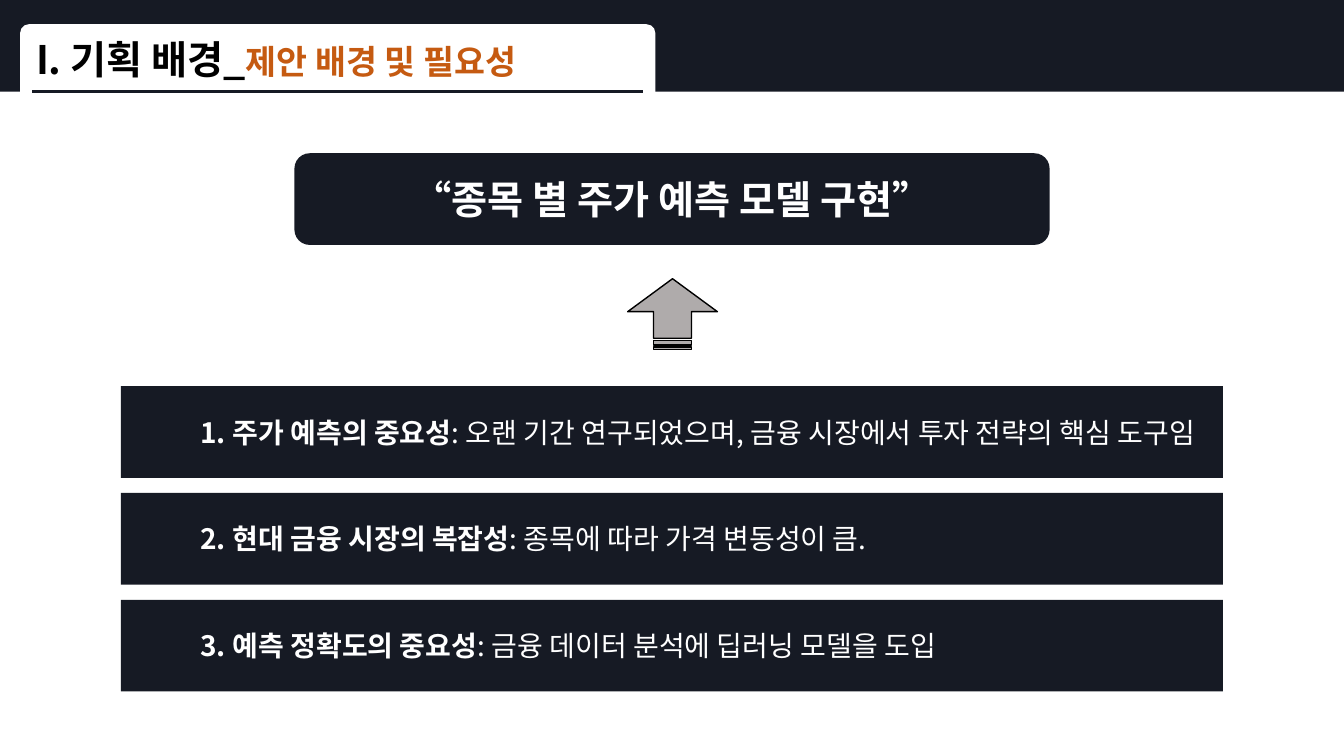
"""Build the slide on the background and need for a stock price model."""
import pptx
import pptx.dml.color
import pptx.enum.shapes
import pptx.enum.text
import pptx.oxml.ns
import pptx.util
from lxml import etree
from pptx.util import Inches

FONT = "Noto Sans CJK KR"
NAVY, WHITE, BLACK = "161A24", "FFFFFF", "000000"
GREY, ORANGE = "AFABAB", "C55A11"
SHAPE = pptx.enum.shapes.MSO_SHAPE
ALIGN = pptx.enum.text.PP_ALIGN
REASONS = [
    ("1. 주가 예측의 중요성", ": 오랜 기간 연구되었으며, 금융 시장에서 투자 전략의 핵심 도구임"),
    ("2. 현대 금융 시장의 복잡성", ": 종목에 따라 가격 변동성이 큼."),
    ("3. 예측 정확도의 중요성", ": 금융 데이터 분석에 딥러닝 모델을 도입"),
]


def color(value):
    """Return the colour for a hex string."""
    return pptx.dml.color.RGBColor.from_string(value)


def add_block(slide, kind, left, top, width, height, fill, adjustments=()):
    """Add a filled shape without outline or shadow."""
    block = slide.shapes.add_shape(
        kind, Inches(left), Inches(top), Inches(width), Inches(height))
    block.shadow.inherit = False
    block.fill.solid()
    block.fill.fore_color.rgb = color(fill)
    block.line.fill.background()
    for index, value in enumerate(adjustments):
        block.adjustments[index] = value
    return block


def add_run(paragraph, text, size, hue, bold=True):
    """Add one run with its font, for Latin and Korean letters alike."""
    run = paragraph.add_run()
    run.text = text
    run.font.size = pptx.util.Pt(size)
    run.font.bold = bold
    run.font.color.rgb = color(hue)
    run.font.name = FONT
    korean = etree.SubElement(run.font._element, pptx.oxml.ns.qn("a:ea"))
    korean.set("typeface", FONT)


def add_header(slide):
    """Add the top band, its tab, the title and the rule under it."""
    add_block(slide, SHAPE.RECTANGLE, 0, 0, 13.33, 0.91, NAVY)
    add_block(slide, SHAPE.ROUNDED_RECTANGLE, 0.2, 0.24, 6.3, 0.82, WHITE, [0.106])
    title = slide.shapes.add_textbox(
        Inches(0.26), Inches(0.3), Inches(6.67), Inches(0.57))
    title.text_frame.word_wrap = True
    heading = title.text_frame.paragraphs[0]
    add_run(heading, "I. 기획 배경_", 28, BLACK)
    add_run(heading, "제안 배경 및 필요성", 24, ORANGE)
    rule = slide.shapes.add_connector(
        pptx.enum.shapes.MSO_CONNECTOR.STRAIGHT,
        Inches(0.32), Inches(0.91), Inches(6.38), Inches(0.91))
    rule.line.color.rgb = color(NAVY)
    rule.line.width = pptx.util.Pt(1.75)
    etree.SubElement(rule._element.spPr, pptx.oxml.ns.qn("a:effectLst"))


def add_goal(slide):
    """Add the goal banner."""
    goal = add_block(slide, SHAPE.ROUNDED_RECTANGLE, 2.92, 1.52, 7.49, 0.91, NAVY)
    statement = goal.text_frame.paragraphs[0]
    statement.alignment = ALIGN.CENTER
    add_run(statement, "“종목 별 주가 예측 모델 구현”", 28, WHITE)


def add_arrow(slide):
    """Add the striped arrow that points up to the goal."""
    arrow = add_block(slide, SHAPE.STRIPED_RIGHT_ARROW, 6.32, 2.67, 0.7, 0.89,
                      GREY, [0.423, 0.467])
    arrow.rotation = 270
    arrow.line.color.rgb = color(BLACK)
    arrow.line.width = pptx.util.Pt(1)


def add_reason(slide, top, topic, detail):
    """Add one reason bar with an indented first line."""
    bar = add_block(slide, SHAPE.ROUNDED_RECTANGLE, 1.2, top, 10.93, 0.91, NAVY, [0])
    reason = bar.text_frame.paragraphs[0]
    reason.alignment = ALIGN.LEFT
    reason._p.get_or_add_pPr().set("indent", str(Inches(0.69)))
    add_run(reason, topic, 20, WHITE)
    add_run(reason, detail, 20, WHITE, bold=False)


def main():
    """Build and save the slide."""
    deck = pptx.Presentation()
    deck.slide_width, deck.slide_height = Inches(13.33), Inches(7.5)
    slide = deck.slides.add_slide(deck.slide_layouts[6])
    add_goal(slide)
    for index, (topic, detail) in enumerate(REASONS):
        add_reason(slide, 3.83 + 1.06 * index, topic, detail)
    add_arrow(slide)
    add_header(slide)
    deck.save("out.pptx")


if __name__ == "__main__":
    main()
